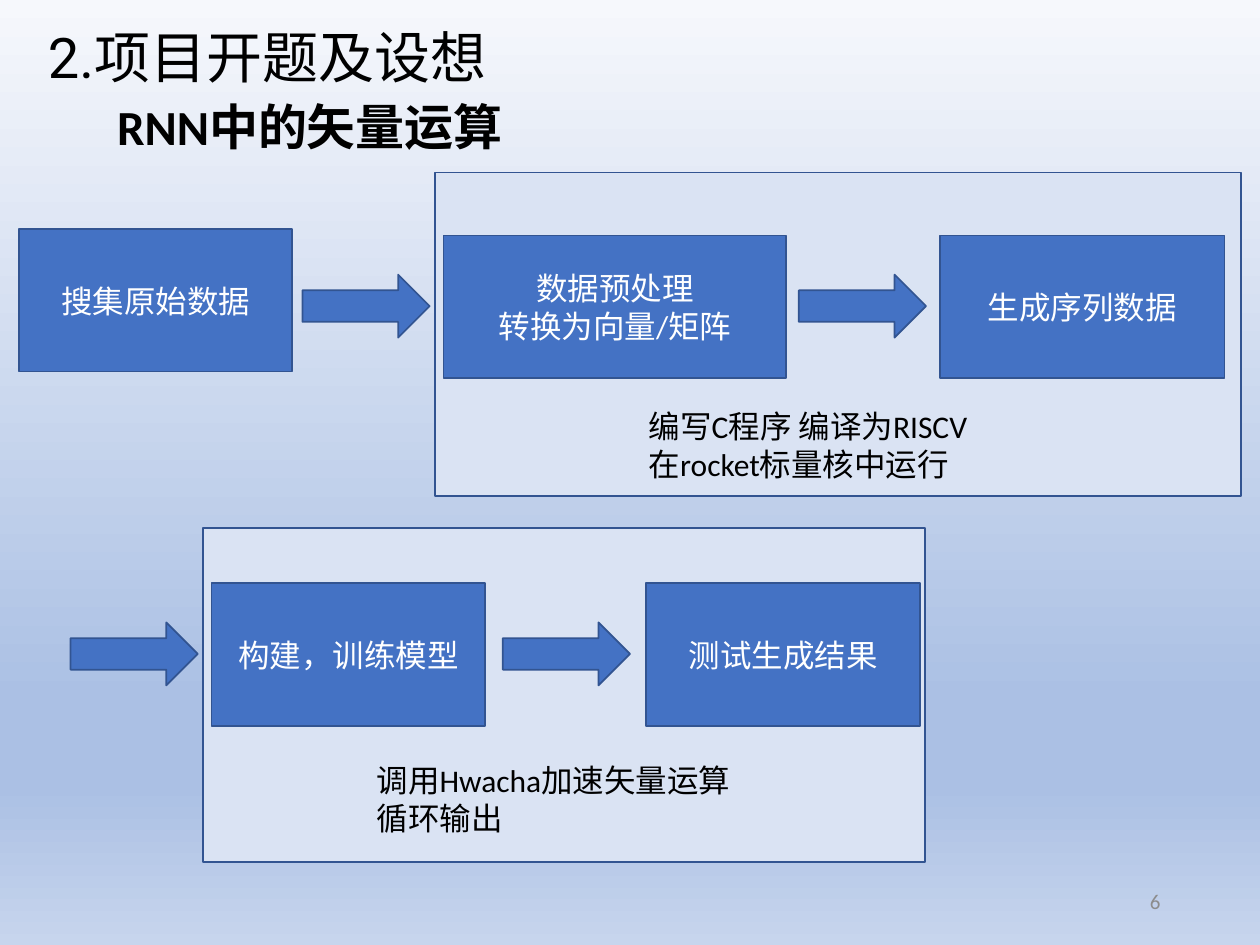
from dataclasses import dataclass

import lxml.etree
import pptx
import pptx.dml.color
import pptx.enum.shapes
import pptx.enum.text
import pptx.oxml.ns
import pptx.util

Inches = pptx.util.Inches
RGB = pptx.dml.color.RGBColor.from_string
SHAPE = pptx.enum.shapes.MSO_SHAPE
ALIGN = pptx.enum.text.PP_ALIGN
ANCHOR = pptx.enum.text.MSO_ANCHOR


@dataclass(frozen=True)
class Theme:
    backdrop: tuple = ((0, "F6F8FC"), (74, "ABC0E4"), (83, "ABC0E4"), (100, "C7D5ED"))
    step: str = "4472C4"
    panel: str = "DAE3F3"
    outline: str = "325491"
    ink: str = "000000"
    light: str = "FFFFFF"
    muted: str = "8C8C8C"
    title_font: str = "Roboto"
    body_font: str = "Calibri"
    title_size: int = 32
    subtitle_size: int = 28
    body_size: int = 18
    number_size: int = 12


THEME = Theme()
STEP_HEIGHT = 1.13
ARROW_WIDTH, ARROW_HEIGHT = 1.01, 0.5


def paint_background(slide):
    fill = slide.background.fill
    fill.gradient()
    fill.gradient_angle = 270
    qn = pptx.oxml.ns.qn
    stops = slide.element.find(".//" + qn("a:gsLst"))
    stops.clear()
    for percent, colour in THEME.backdrop:
        stop = lxml.etree.SubElement(stops, qn("a:gs"), pos=str(percent * 1000))
        lxml.etree.SubElement(stop, qn("a:srgbClr"), val=colour)


def write(frame, text, size, colour, align=ALIGN.LEFT, anchor=ANCHOR.MIDDLE,
          font=THEME.body_font, bold=False, spacing=None):
    frame.word_wrap = True
    frame.auto_size = pptx.enum.text.MSO_AUTO_SIZE.NONE
    frame.vertical_anchor = anchor
    frame.text = text
    for paragraph in frame.paragraphs:
        paragraph.alignment = align
        paragraph.line_spacing = spacing
        for run in paragraph.runs:
            run.font.name = font
            run.font.size = pptx.util.Pt(size)
            run.font.bold = bold
            run.font.color.rgb = RGB(colour)


def add_text(slide, box, text, size, colour, **style):
    textbox = slide.shapes.add_textbox(*map(Inches, box))
    write(textbox.text_frame, text, size, colour, **style)


def add_filled(slide, preset, box, fill):
    shape = slide.shapes.add_shape(preset, *map(Inches, box))
    shape.shadow.inherit = False
    shape.fill.solid()
    shape.fill.fore_color.rgb = RGB(fill)
    shape.line.color.rgb = RGB(THEME.outline)
    shape.line.width = pptx.util.Pt(1)
    return shape


def add_heading(slide, box, title, subtitle):
    left, top, width, height = box
    heading = slide.shapes.title
    heading.left, heading.top = Inches(left), Inches(top)
    heading.width, heading.height = Inches(width), Inches(height)
    write(heading.text_frame, title, THEME.title_size, THEME.ink,
          font=THEME.title_font, spacing=0.9)
    add_text(slide, (left, top + 0.53, 4.36, 0.62), subtitle, THEME.subtitle_size,
             THEME.ink, align=ALIGN.CENTER, bold=True, spacing=0.9)


def add_step(slide, left, top, width, text):
    step = add_filled(slide, SHAPE.RECTANGLE, (left, top, width, STEP_HEIGHT), THEME.step)
    write(step.text_frame, text, THEME.body_size, THEME.light, align=ALIGN.CENTER)


def add_arrow(slide, left, top):
    add_filled(slide, SHAPE.RIGHT_ARROW, (left, top, ARROW_WIDTH, ARROW_HEIGHT), THEME.step)


def add_stage(slide, box, step_offset, steps, arrow_offset, note_offset, note_width, note):
    """Panel with a row of steps, an arrow between them and a note; offsets are from its corner."""
    left, top, _, _ = box
    add_filled(slide, SHAPE.RECTANGLE, box, THEME.panel)
    for step_left, width, text in steps:
        add_step(slide, left + step_left, top + step_offset, width, text)
    add_arrow(slide, left + arrow_offset[0], top + arrow_offset[1])
    add_text(slide, (left + note_offset[0], top + note_offset[1], note_width, 0.71),
             note, THEME.body_size, THEME.ink, anchor=ANCHOR.TOP)


def main():
    deck = pptx.Presentation()
    deck.slide_width, deck.slide_height = Inches(10), Inches(7.5)
    slide = deck.slides.add_slide(deck.slide_layouts[5])
    paint_background(slide)
    add_heading(slide, (0.28, 0.19, 8.64, 0.57), "2.项目开题及设想", "RNN中的矢量运算")

    add_step(slide, 0.15, 1.82, 2.17, "搜集原始数据")
    add_arrow(slide, 2.4, 2.18)
    add_stage(slide, (3.45, 1.37, 6.4, 2.57), 0.5,
              [(0.07, 2.72, "数据预处理\n转换为向量/矩阵"), (4.01, 2.26, "生成序列数据")],
              (2.89, 0.81), (1.6, 1.81), 2.92,
              "编写C程序 编译为RISCV\n在rocket标量核中运行")

    add_arrow(slide, 0.56, 4.94)
    add_stage(slide, (1.61, 4.19, 5.73, 2.65), 0.44,
              [(0.07, 2.17, "构建，训练模型"), (3.52, 2.17, "测试生成结果")],
              (2.38, 0.75), (1.28, 1.8), 3.42,
              "调用Hwacha加速矢量运算\n循环输出")

    add_text(slide, (7.06, 6.95, 2.25, 0.4), "6", THEME.number_size, THEME.muted,
             align=ALIGN.RIGHT)
    deck.save("out.pptx")


if __name__ == "__main__":
    main()
